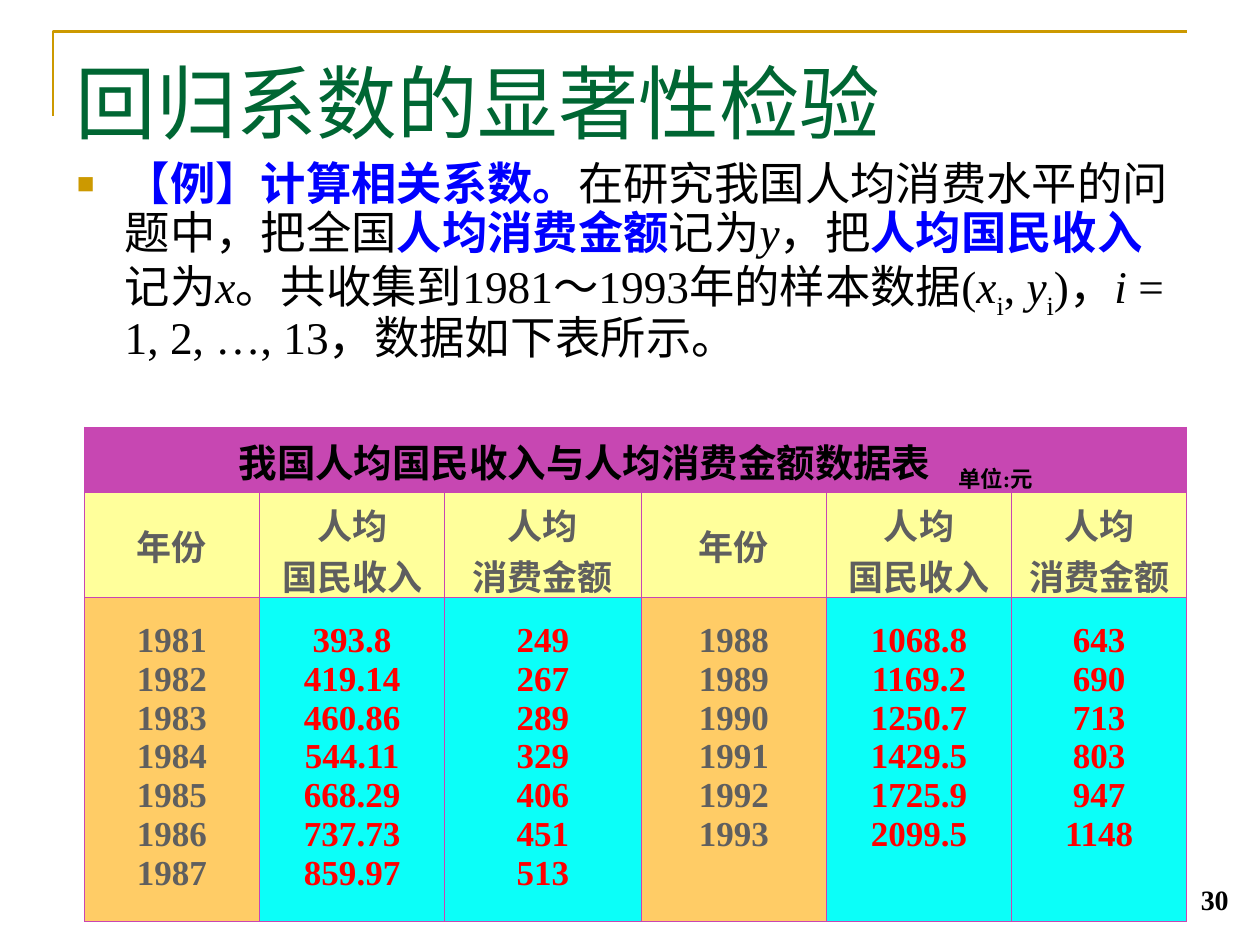
from lxml import etree
from pptx import Presentation, util as u
from pptx.dml.color import RGBColor
from pptx.enum import text
from pptx.oxml import ns

COLORS = dict(gold="CC9900", green="006633", blue="0000FF", black="000000", grey="5F5F5F",
              red="FF0000", purple="C747B2", border="C945B3", cream="FFFF9B",
              orange="FFCC66", cyan="0BFFF9")
CENTER = text.PP_ALIGN.CENTER
MIDDLE = text.MSO_ANCHOR.MIDDLE
COLUMNS = [1.39, 1.47, 1.56, 1.47, 1.47, 1.39]
ROWS = [0.52, 0.83, 2.55]
HEADERS = [["年份"], ["人均", "国民收入"], ["人均", "消费金额"]]
DATA = [
    range(1981, 1988),
    ["393.8", "419.14", "460.86", "544.11", "668.29", "737.73", "859.97"],
    [249, 267, 289, 329, 406, 451, 513],
    range(1988, 1994),
    ["1068.8", "1169.2", "1250.7", "1429.5", "1725.9", "2099.5"],
    [643, 690, 713, 803, 947, 1148],
]
KEY = dict(color="blue", bold=True)
VARIABLE = dict(italic=True)
INDEX = dict(base=-25)
BODY = [
    ("【例】计算相关系数。", KEY), ("在研究我国人均消费水平的问题中，把全国", {}),
    ("人均消费金额", KEY), ("记为", {}), ("y", VARIABLE), ("，把", {}),
    ("人均国民收入", KEY), ("记为", {}), ("x", VARIABLE),
    ("。共收集到1981～1993年的样本数据(", {}), ("x", VARIABLE), ("i", INDEX),
    (", ", {}), ("y", VARIABLE), ("i", INDEX), (")，", {}), ("i ", VARIABLE),
    ("= 1, 2, …, 13，数据如下表所示。", {}),
]


def rgb(name):
    """Return a palette colour."""
    return RGBColor.from_string(COLORS[name])


def assign(target, **values):
    """Set every given attribute on the target."""
    for name, value in values.items():
        setattr(target, name, value)


def add_span(para, words, size, color="black", base=0, gap=0, **style):
    """Add a formatted run, optionally lowered or letter-spaced."""
    span = para.add_run()
    span.text = words
    assign(span.font, name="Times New Roman", size=u.Pt(size), **style)
    span.font.color.rgb = rgb(color)
    for key, share in (("baseline", base * 1000), ("spc", gap * 100)):
        if share:
            span.font._element.set(key, str(share))


def place(shape, left, top, width, height):
    """Move and size a shape in inches."""
    assign(shape, left=u.Inches(left), top=u.Inches(top),
           width=u.Inches(width), height=u.Inches(height))


def add_bullet(para):
    """Give a paragraph a small gold square and a hanging indent."""
    props = para._p.get_or_add_pPr()
    props.set("marL", str(u.Inches(0.38)))
    props.set("indent", str(-u.Inches(0.38)))
    tint = etree.SubElement(props, ns.qn("a:buClr"))
    etree.SubElement(tint, ns.qn("a:srgbClr"), val=COLORS["gold"])
    etree.SubElement(props, ns.qn("a:buSzPct"), val="65000")
    etree.SubElement(props, ns.qn("a:buChar"), char="■")


def add_frame(page):
    """Draw the gold corner line above the title."""
    builder = page.shapes.build_freeform(u.Inches(0.42), u.Inches(0.92))
    corners = [(0.42, 0.25), (9.42, 0.25)]
    builder.add_line_segments([(u.Inches(x), u.Inches(y)) for x, y in corners], close=False)
    frame = builder.convert_to_shape()
    frame.shadow.inherit = False
    frame.fill.background()
    frame.line.color.rgb = rgb("gold")
    frame.line.width = u.Pt(1.5)


def fill_title(title):
    """Place and write the title."""
    place(title, 0.5, 0.3, 9, 1.01)
    assign(title.text_frame, auto_size=text.MSO_AUTO_SIZE.NONE, vertical_anchor=MIDDLE)
    para = title.text_frame.paragraphs[0]
    para.alignment = text.PP_ALIGN.LEFT
    add_span(para, "回归系数的显著性检验", 46, "green")


def fill_body(body):
    """Place and write the example paragraph."""
    place(body, 0.51, 1.23, 9, 2.05)
    body.text_frame.auto_size = text.MSO_AUTO_SIZE.NONE
    para = body.text_frame.paragraphs[0]
    assign(para, line_spacing=0.9, space_before=u.Pt(7))
    add_bullet(para)
    for words, style in BODY:
        add_span(para, words, 25.9, **style)


def add_number(page):
    """Write the page number at the lower right."""
    box = page.shapes.add_textbox(*map(u.Inches, (7.52, 6.82, 2.33, 0.5)))
    assign(box.text_frame, word_wrap=True, vertical_anchor=text.MSO_ANCHOR.BOTTOM)
    para = box.text_frame.paragraphs[0]
    para.alignment = text.PP_ALIGN.RIGHT
    add_span(para, "30", 16, bold=True)


def style_cell(cell, fill):
    """Fill a cell and draw its four thin borders."""
    cell.vertical_anchor = MIDDLE
    props = cell._tc.get_or_add_tcPr()
    for side in ("a:lnL", "a:lnR", "a:lnT", "a:lnB"):
        line = etree.SubElement(props, ns.qn(side), w=str(u.Pt(0.45)))
        solid = etree.SubElement(line, ns.qn("a:solidFill"))
        etree.SubElement(solid, ns.qn("a:srgbClr"), val=COLORS["border"])
    cell.fill.solid()
    cell.fill.fore_color.rgb = rgb(fill)


def write_lines(cell, lines, color):
    """Write one centred bold paragraph per line."""
    frame = cell.text_frame
    for index, line in enumerate(lines):
        para = frame.add_paragraph() if index else frame.paragraphs[0]
        para.alignment = CENTER
        add_span(para, str(line), 20, color, bold=True)


def add_data_table(page):
    """Build the table of income and consumption."""
    shape = page.shapes.add_table(len(ROWS), len(COLUMNS), u.Inches(0.67), u.Inches(3.39),
                                  u.Inches(sum(COLUMNS)), u.Inches(sum(ROWS)))
    table = shape.table
    assign(table, first_row=False, horz_banding=False)
    for column, width in zip(table.columns, COLUMNS):
        column.width = u.Inches(width)
    for row, height in zip(table.rows, ROWS):
        row.height = u.Inches(height)
    for index, values in enumerate(DATA):
        banner, header, cell = (table.cell(row, index) for row in range(3))
        is_year = index % 3 == 0
        style_cell(banner, "purple")
        style_cell(header, "cream")
        write_lines(header, HEADERS[index % 3], "grey")
        style_cell(cell, "orange" if is_year else "cyan")
        assign(cell, vertical_anchor=text.MSO_ANCHOR.TOP, margin_top=u.Inches(0.19))
        write_lines(cell, values, "grey" if is_year else "red")
    table.cell(0, 0).merge(table.cell(0, len(COLUMNS) - 1))
    para = table.cell(0, 0).text_frame.paragraphs[0]
    assign(para, alignment=CENTER, space_before=u.Pt(13.8))
    add_span(para, "我国人均国民收入与人均消费金额数据表", 22, bold=True)
    add_span(para, " ", 22, gap=11, bold=True)
    add_span(para, "单位:元", 22, base=-25, bold=True)


def main():
    """Build and save the slide."""
    deck = Presentation()
    assign(deck, slide_width=u.Inches(10), slide_height=u.Inches(7.5))
    page = deck.slides.add_slide(deck.slide_layouts[1])
    add_frame(page)
    add_number(page)
    fill_title(page.shapes.title)
    fill_body(page.placeholders[1])
    add_data_table(page)
    deck.save("out.pptx")


if __name__ == "__main__":
    main()
